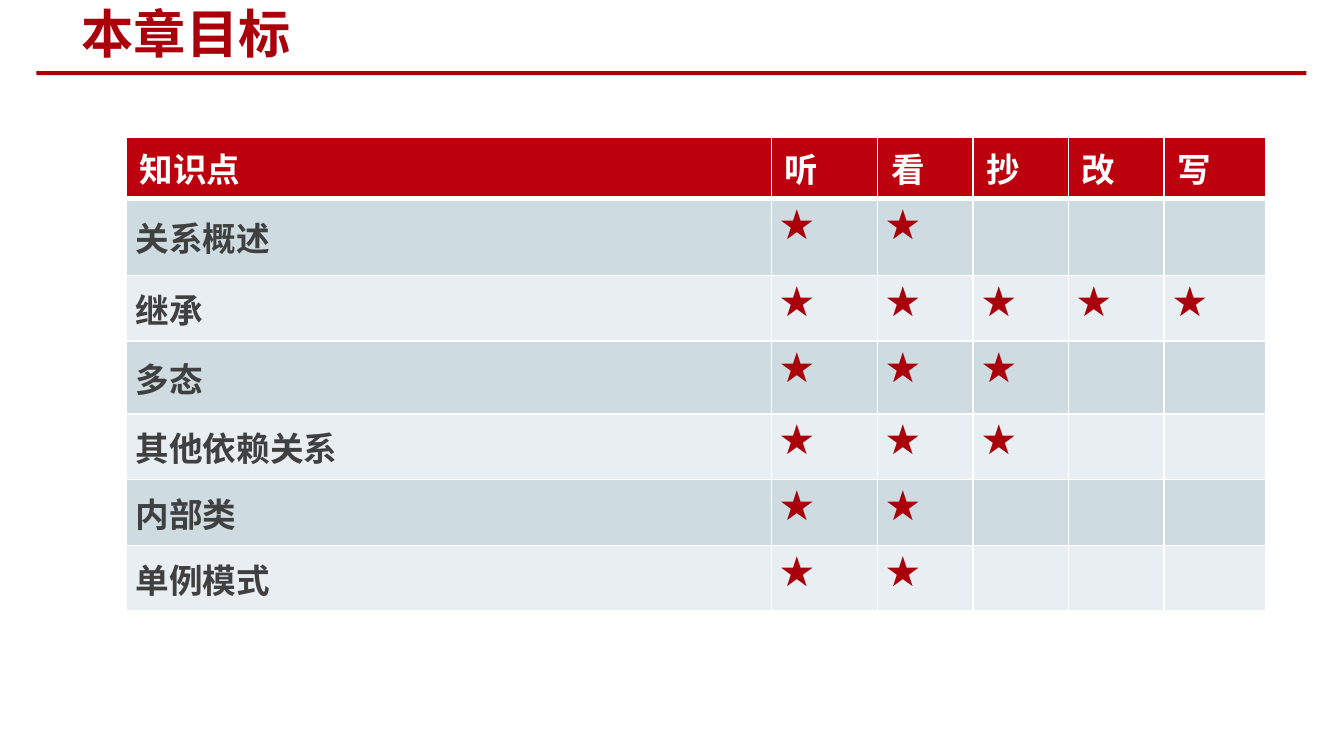
import pptx
import pptx.dml.color
import pptx.enum.shapes
import pptx.enum.text
import pptx.oxml.ns
import pptx.util
from lxml import etree

Inches = pptx.util.Inches
MIDDLE = pptx.enum.text.MSO_ANCHOR.MIDDLE
TOP = pptx.enum.text.MSO_ANCHOR.TOP
FONT = "Noto Sans CJK SC"
RED, WHITE, GRAY = "AA000B", "FFFFFF", "404040"
HEADER_FILL = "BC000D"
BANDS = ["CEDCE1", "E8EEF1"]

HEADERS = ["知识点", "听", "看", "抄", "改", "写"]
TOPICS = [
    # topic, number of stars
    ("关系概述", 2),
    ("继承", 5),
    ("多态", 3),
    ("其他依赖关系", 3),
    ("内部类", 2),
    ("单例模式", 2),
]
COLUMN_WIDTHS = [4.8, 0.79, 0.71, 0.71, 0.71, 0.76]
ROW_HEIGHTS = [0.46, 0.57, 0.49, 0.54, 0.49, 0.49, 0.49]


def color(value):
    return pptx.dml.color.RGBColor.from_string(value)


def fill_solid(target, value):
    target.fill.solid()
    target.fill.fore_color.rgb = color(value)


def write_text(frame, text, size=18, ink=GRAY, bold=True):
    span = frame.paragraphs[0].add_run()
    span.text = text
    span.font.size = pptx.util.Pt(size)
    span.font.bold = bold
    span.font.name = FONT
    span.font.color.rgb = color(ink)
    east_asian = etree.SubElement(span.font._element, pptx.oxml.ns.qn("a:ea"))
    east_asian.set("typeface", FONT)


def add_title(page, text):
    box = page.shapes.add_textbox(Inches(0.51), Inches(0.02), Inches(5.3), Inches(0.45))
    box.text_frame.word_wrap = True
    box.text_frame.vertical_anchor = MIDDLE
    write_text(box.text_frame, text, size=28, ink=RED)


def add_rule(page):
    rule = page.shapes.add_shape(
        pptx.enum.shapes.MSO_SHAPE.RECTANGLE,
        Inches(0.27), Inches(0.53), Inches(9.45), Inches(0.03))
    rule.shadow.inherit = False
    fill_solid(rule, RED)
    rule.line.fill.background()


def set_borders(cell, **widths):
    """Draw white borders; widths are points by side: L, R, T, B."""
    properties = cell._tc.get_or_add_tcPr()
    for side, width in widths.items():
        line = etree.SubElement(properties, pptx.oxml.ns.qn(f"a:ln{side}"),
                                w=str(pptx.util.Pt(width)))
        solid = etree.SubElement(line, pptx.oxml.ns.qn("a:solidFill"))
        etree.SubElement(solid, pptx.oxml.ns.qn("a:srgbClr"), val=WHITE)


def format_cell(cell, fill, text="", ink=GRAY, anchor=TOP, side=0.07, edge=0,
                top=1, bottom=1):
    set_borders(cell, L=1, R=1, T=top, B=bottom)
    fill_solid(cell, fill)
    cell.margin_left = cell.margin_right = Inches(side)
    cell.margin_top = cell.margin_bottom = Inches(edge)
    cell.vertical_anchor = anchor
    if text:
        write_text(cell.text_frame, text, ink=ink)


def add_goal_table(page):
    table = page.shapes.add_table(
        len(ROW_HEIGHTS), len(COLUMN_WIDTHS), Inches(0.94), Inches(1.02),
        Inches(sum(COLUMN_WIDTHS)), Inches(sum(ROW_HEIGHTS))).table
    for column, width in zip(table.columns, COLUMN_WIDTHS):
        column.width = Inches(width)
    for row, height in zip(table.rows, ROW_HEIGHTS):
        row.height = Inches(height)

    for index, header in enumerate(HEADERS):
        format_cell(table.cell(0, index), HEADER_FILL, header, ink=WHITE,
                    side=0.1, edge=0.05, bottom=3)
    for row, (topic, stars) in enumerate(TOPICS, start=1):
        fill = BANDS[(row - 1) % 2]
        top = 3 if row == 1 else 1
        format_cell(table.cell(row, 0), fill, topic, anchor=MIDDLE, top=top)
        for column in range(1, len(HEADERS)):
            mark = "★" if column <= stars else ""
            format_cell(table.cell(row, column), fill, mark, ink=RED, top=top)


def main():
    deck = pptx.Presentation()
    deck.slide_width = Inches(10)
    deck.slide_height = deck.slide_width * 9 // 16
    page = deck.slides.add_slide(deck.slide_layouts[6])
    add_rule(page)
    add_title(page, "本章目标")
    add_goal_table(page)
    deck.save("out.pptx")


if __name__ == "__main__":
    main()
